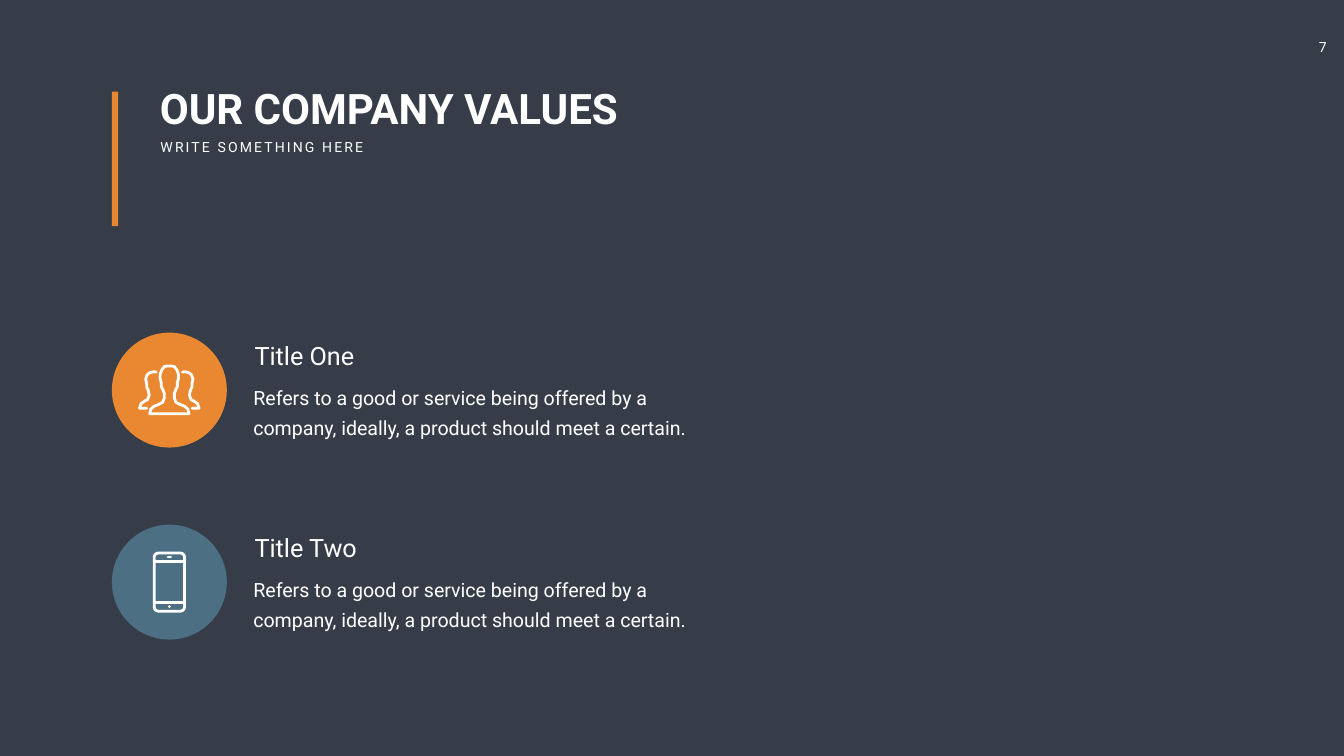
from dataclasses import dataclass

from pptx import Presentation
from pptx.dml.color import RGBColor
from pptx.enum.shapes import MSO_SHAPE
from pptx.enum.text import MSO_AUTO_SIZE, PP_ALIGN
from pptx.oxml.ns import qn
from pptx.util import Inches, Pt

WIDTH, HEIGHT = Inches(26.66), Inches(15)
WHITE, ORANGE, BLUE, SLATE = "FFFFFF", "EA8831", "4D6F84", "363D48"
STROKE = Pt(4)

# Shares of the slide, in percent: left margin, circle centres and their spacing
MARGIN = 8.33
CENTRE_X, FIRST_ROW, ROW_STEP = 12.6, 51.6, 25.4
DIAMETER = round(HEIGHT * 0.152)

Points = list[tuple[float, float]]


@dataclass
class Contour:
    points: Points
    closed: bool = False


@dataclass
class Box:
    """A place on the slide, in percent of its width and height."""
    left: float
    top: float
    width: float
    height: float

    def lengths(self) -> list[int]:
        return [round(share * side / 100) for share, side in
                zip((self.left, self.top, self.width, self.height), (WIDTH, HEIGHT) * 2)]


@dataclass
class Value:
    title: str
    text: str
    color: str
    icon: list[Contour]


def mirror(points: Points) -> Points:
    return [(-x, y) for x, y in points]


def symmetric(right_half: Points) -> Contour:
    """Close a right half, listed from top to bottom, with its mirror image."""
    return Contour(right_half + mirror(right_half)[::-1], closed=True)


# Icon outlines, in percent of the circle's diameter from its centre
FRONT_PERSON = [(1.8, -21), (4.4, -20.4), (6.6, -17.5), (7.9, -14), (8.1, -10.5),
                (7, -6.6), (7, -3), (5.7, -0.4), (4.4, 2.6), (4.4, 7), (5.7, 10.5),
                (8.8, 12.3), (13.2, 14), (16.2, 16.7), (17.1, 20.6)]
SIDE_PERSON = [(11.4, -15.6), (13.6, -16), (17.1, -15.1), (19.3, -13.2), (20.6, -9.6),
               (19.7, -5.7), (19.7, -2.6), (18.4, 0), (17.5, 4.4), (18.9, 8.3),
               (21.5, 9.6), (24.6, 11.8), (25.9, 15.8), (19.7, 15.8)]
PHONE_CORNER = [(9.7, -25.3), (11.4, -24.8), (12.7, -23.6), (13.2, -21.8)]
PHONE_CASE = PHONE_CORNER + [(x, -y) for x, y in PHONE_CORNER[::-1]]

PEOPLE = [symmetric(FRONT_PERSON), Contour(SIDE_PERSON), Contour(mirror(SIDE_PERSON))]
# Half lengths and heights of the screen edges, the speaker and the button
PHONE = [symmetric(PHONE_CASE)] + [
    Contour([(-half, y), (half, y)])
    for half, y in ((13.2, -18), (13.2, 18), (1.2, -21.8), (0.1, 21.5))]


def rgb(color: str) -> RGBColor:
    return RGBColor.from_string(color)


def add_filled(shapes, kind: MSO_SHAPE, lengths: list[int], color: str) -> None:
    shape = shapes.add_shape(kind, *lengths)
    shape.shadow.inherit = False
    shape.fill.solid()
    shape.fill.fore_color.rgb = rgb(color)
    shape.line.fill.background()


def add_icon(shapes, contours: list[Contour], centre_x: int, centre_y: int) -> None:
    """Draw all contours as one white, round-ended outline."""
    builder = None
    for contour in contours:
        start, *rest = [(round(centre_x + x * DIAMETER / 100),
                         round(centre_y + y * DIAMETER / 100)) for x, y in contour.points]
        if builder is None:
            builder = shapes.build_freeform(*start)
        else:
            builder.move_to(*start)
        builder.add_line_segments(rest, close=contour.closed)
    icon = builder.convert_to_shape()
    icon.shadow.inherit = False
    icon.fill.background()
    icon.line.color.rgb = rgb(WHITE)
    icon.line.width = STROKE
    outline = icon.line._get_or_add_ln()
    outline.set("cap", "rnd")
    outline.append(outline.makeelement(qn("a:round"), {}))


def add_text(shapes, box: Box, text: str, size: int, wrap: bool = True,
             inset: tuple[float, float] = (0.1, 0.05)):
    """Add a white text box and return its paragraph; inset is across and down, in inches."""
    frame = shapes.add_textbox(*box.lengths()).text_frame
    frame.word_wrap = wrap
    frame.auto_size = MSO_AUTO_SIZE.SHAPE_TO_FIT_TEXT
    frame.margin_left = frame.margin_right = Inches(inset[0])
    frame.margin_top = frame.margin_bottom = Inches(inset[1])
    para = frame.paragraphs[0]
    para.text = text
    para.font.name = "Roboto"
    para.font.size = Pt(size)
    para.font.color.rgb = rgb(WHITE)
    return para


def add_header(shapes) -> None:
    number = add_text(shapes, Box(97.07, 4.47, 2.7, 3.6), "7", 20, False, (0.2, 0.1))
    number.alignment = PP_ALIGN.CENTER
    title = add_text(shapes, Box(11.52, 10.6, 38.97, 7.4), "OUR COMPANY VALUES", 60)
    title.font.bold = True
    subtitle = add_text(shapes, Box(11.57, 18, 16.32, 2.93), "WRITE SOMETHING HERE", 20, False)
    subtitle.runs[0].font._element.set("spc", "300")
    add_filled(shapes, MSO_SHAPE.RECTANGLE, Box(MARGIN, 12.11, 0.47, 17.8).lengths(), ORANGE)


def add_value(shapes, value: Value, row: int) -> None:
    middle = FIRST_ROW + row * ROW_STEP
    centre_x, centre_y = round(CENTRE_X * WIDTH / 100), round(middle * HEIGHT / 100)
    circle = [centre_x - DIAMETER // 2, centre_y - DIAMETER // 2, DIAMETER, DIAMETER]
    add_filled(shapes, MSO_SHAPE.OVAL, circle, value.color)
    add_icon(shapes, value.icon, centre_x, centre_y)
    body = add_text(shapes, Box(17.95, middle - 2.27, 34.06, 9.27), value.text, 28,
                    inset=(0.24, 0.12))
    body.line_spacing = Pt(43)
    add_text(shapes, Box(18.57, middle - 6.95, 21.27, 4.73), value.title, 36)


def main() -> None:
    deck = Presentation()
    deck.slide_width, deck.slide_height = WIDTH, HEIGHT
    page = deck.slides.add_slide(deck.slide_layouts[6])
    page.background.fill.solid()
    page.background.fill.fore_color.rgb = rgb(SLATE)
    add_header(page.shapes)
    text = ("Refers to a good or service being offered by a company, ideally, "
            "a product should meet a certain.")
    values = [Value("Title One", text, ORANGE, PEOPLE),
              Value("Title Two", text, BLUE, PHONE)]
    for row, value in enumerate(values):
        add_value(page.shapes, value, row)
    deck.save("out.pptx")


if __name__ == "__main__":
    main()
